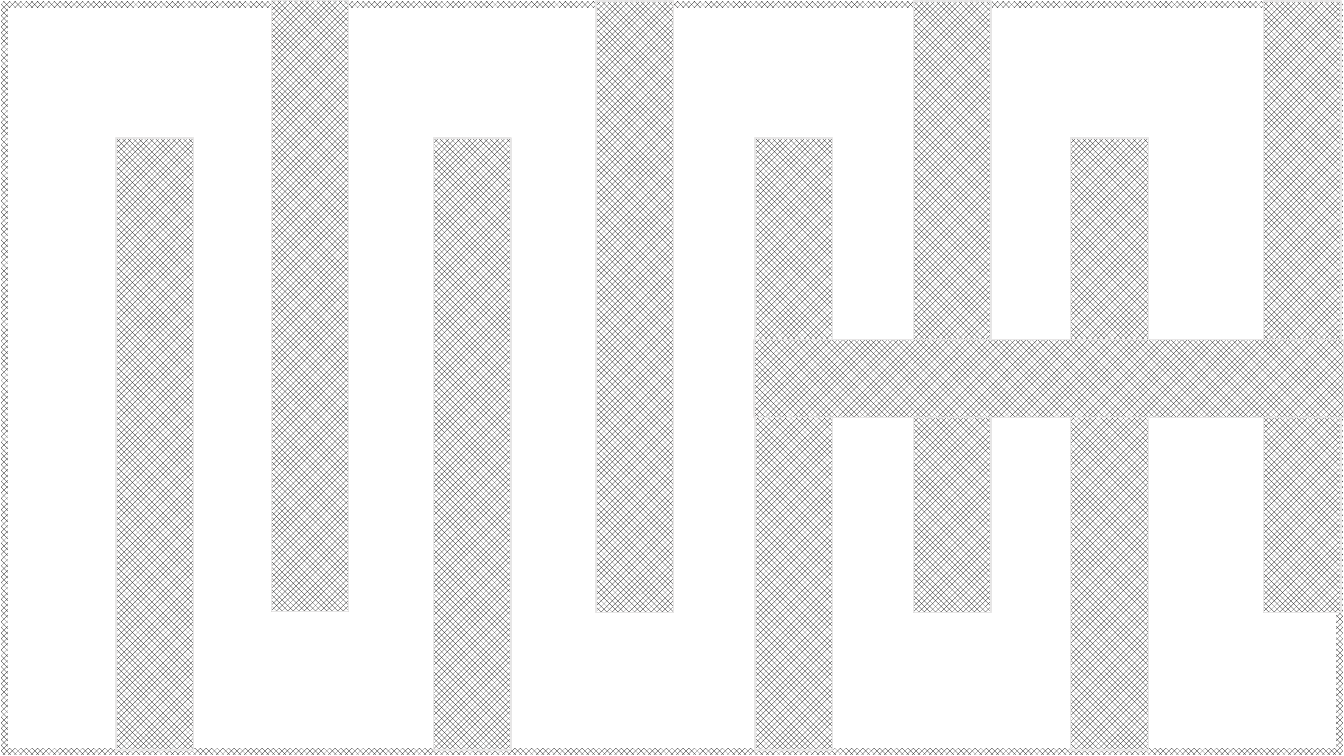
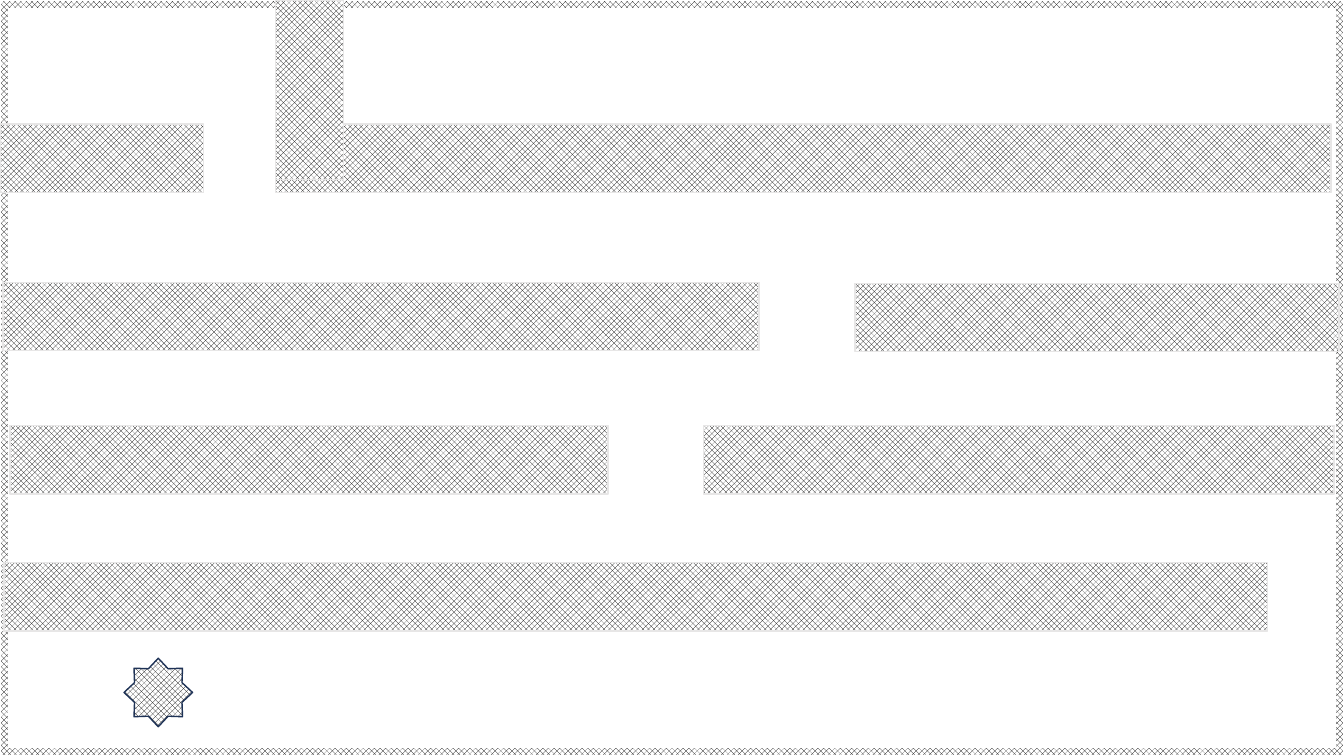
"""Build two maze slides with checkered walls and a shared border."""

from dataclasses import dataclass

import pptx
import pptx.dml.color
import pptx.enum.dml
import pptx.enum.shapes
import pptx.presentation
import pptx.slide
import pptx.util
from pptx.util import Inches

BLACK = pptx.dml.color.RGBColor(0x00, 0x00, 0x00)
WHITE = pptx.dml.color.RGBColor(0xFF, 0xFF, 0xFF)
WALL_EDGE = pptx.dml.color.RGBColor(0xE7, 0xE6, 0xE6)
STAR_EDGE = pptx.dml.color.RGBColor(0x1E, 0x32, 0x56)

SLIDE_WIDTH = 13.33
SLIDE_HEIGHT = 7.5
BORDER_RATIO = 0.011
COLUMN_WIDTH = 0.77
COLUMN_HEIGHT = 6.07
ROW_HEIGHT = 0.68

Preset = pptx.enum.shapes.MSO_SHAPE


@dataclass(frozen=True)
class Piece:
    """A checkered maze piece, measured in inches."""

    left: float
    top: float
    width: float
    height: float
    preset: Preset = Preset.RECTANGLE
    edge: pptx.dml.color.RGBColor = WALL_EDGE
    adjustment: float | None = None


def column(left: float, top: float) -> Piece:
    """Return a tall wall of the first maze."""
    return Piece(left, top, COLUMN_WIDTH, COLUMN_HEIGHT)


def row(left: float, top: float, width: float) -> Piece:
    """Return a long wall of the second maze."""
    return Piece(left, top, width, ROW_HEIGHT)


BORDER = Piece(0, 0, SLIDE_WIDTH, SLIDE_HEIGHT, Preset.FRAME, WHITE, BORDER_RATIO)

COLUMN_MAZE = [
    *(column(left, 1.37) for left in (1.15, 4.3, 7.49, 10.62)),
    column(2.69, 0),
    *(column(left, 0.01) for left in (5.91, 9.06, 12.53)),
    Piece(7.48, 3.37, 5.85, COLUMN_WIDTH),
]

ROW_MAZE = [
    row(0, 1.23, 2.02),
    row(2.73, 1.23, 10.47),
    row(0.03, 2.8, 7.5),
    row(8.48, 2.81, 4.8),
    row(0.1, 4.22, 5.93),
    row(6.98, 4.22, 6.25),
    row(0.04, 5.58, 12.53),
    Piece(2.73, 0, ROW_HEIGHT, 1.78),
    Piece(1.23, 6.53, ROW_HEIGHT, ROW_HEIGHT, Preset.STAR_8_POINT, STAR_EDGE),
]


def draw_piece(slide: pptx.slide.Slide, piece: Piece) -> None:
    """Draw one checkered piece."""
    shape = slide.shapes.add_shape(
        piece.preset,
        Inches(piece.left),
        Inches(piece.top),
        Inches(piece.width),
        Inches(piece.height),
    )
    if piece.adjustment is not None:
        shape.adjustments[0] = piece.adjustment
    shape.shadow.inherit = False
    shape.fill.patterned()
    shape.fill.pattern = pptx.enum.dml.MSO_PATTERN.LARGE_CHECKER_BOARD
    shape.fill.fore_color.rgb = BLACK
    shape.fill.back_color.rgb = WHITE
    shape.line.color.rgb = piece.edge
    shape.line.width = pptx.util.Pt(1)


def add_maze(presentation: pptx.presentation.Presentation, pieces: list[Piece]) -> None:
    """Add a blank slide with the border and the given pieces."""
    slide = presentation.slides.add_slide(presentation.slide_layouts[6])
    for piece in (BORDER, *pieces):
        draw_piece(slide, piece)


def main() -> None:
    """Build and save the presentation."""
    presentation = pptx.Presentation()
    presentation.slide_width = Inches(SLIDE_WIDTH)
    presentation.slide_height = Inches(SLIDE_HEIGHT)
    for pieces in (COLUMN_MAZE, ROW_MAZE):
        add_maze(presentation, pieces)
    presentation.save("out.pptx")


if __name__ == "__main__":
    main()
